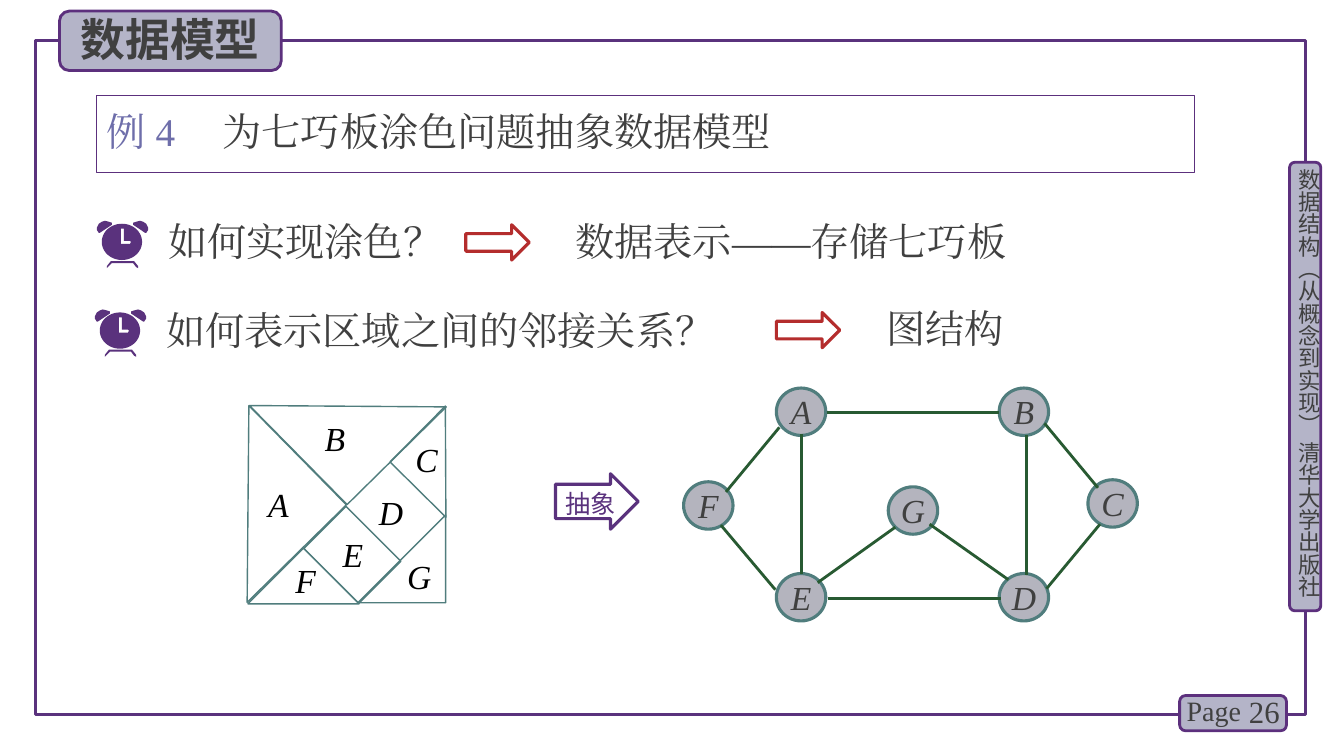
"""Build the slide on colouring a tangram with a graph model."""
from dataclasses import dataclass, field
from math import cos, pi, sin
from typing import Any, Optional

from lxml.etree import SubElement as Sub
from pptx import Presentation
from pptx.dml.color import RGBColor
from pptx.enum.shapes import MSO_CONNECTOR as Link, MSO_SHAPE as Kind
from pptx.enum.text import MSO_ANCHOR as Anchor, PP_ALIGN as Align
from pptx.oxml.ns import qn
from pptx.util import Inches, Pt

Box = tuple[float, float, float, float]
Spot = tuple[float, float]

PURPLE = RGBColor(0x5A, 0x32, 0x7D)
PLUM = RGBColor(0x5C, 0x30, 0x7D)
LILAC = RGBColor(0xB4, 0xB4, 0xC8)
VIOLET = RGBColor(0x6E, 0x6E, 0xAA)
GREY = RGBColor(0x40, 0x40, 0x40)
BLACK = RGBColor(0, 0, 0)
RED = RGBColor(0xB4, 0x2D, 0x2D)
TEAL = RGBColor(0x50, 0x7D, 0x7D)
STONE = RGBColor(0xB4, 0xB4, 0xBE)
GREEN = RGBColor(0x28, 0x5A, 0x32)
ROMAN, SANS = "Times New Roman", "Noto Sans CJK SC"


@dataclass
class Style:
    size: float
    color: RGBColor = GREY
    name: str = ROMAN
    font: dict[str, Any] = field(default_factory=dict)
    para: dict[str, Any] = field(default_factory=dict)
    frame: dict[str, Any] = field(default_factory=dict)


@dataclass
class Form:
    kind: Kind
    box: Box
    edge: RGBColor
    width: float
    fill: Optional[RGBColor] = None
    turn: float = 0


@dataclass
class Note:
    text: str
    box: Box
    style: Style


BARE = dict.fromkeys(("margin_left", "margin_top", "margin_right", "margin_bottom"), 0)
MIDDLE = {"vertical_anchor": Anchor.MIDDLE}
TIGHT = {"line_spacing": 0.9}
ITALIC = {"italic": True}

ASK = Style(28)
REPLY = Style(28, para=TIGHT, frame=MIDDLE)
PIECE = Style(24, BLACK, font=ITALIC)
NODE = Style(24, font=ITALIC, para={"alignment": Align.CENTER, "line_spacing": Pt(26)},
             frame=BARE | {"vertical_anchor": Anchor.TOP})
STEP = Style(18, PURPLE, SANS, para={"alignment": Align.CENTER, "line_spacing": Pt(24)},
             frame=BARE | MIDDLE | {"margin_left": Inches(0.04)})
SIDE = Style(16, name=SANS, frame=BARE)

FORMS = [
    Form(Kind.RECTANGLE, (0.35, 0.4, 12.6, 6.69), PURPLE, 2.25),
    Form(Kind.ROUNDED_RECTANGLE, (12.79, 1.61, 0.31, 4.45), PLUM, 2, LILAC),
    Form(Kind.ROUNDED_RECTANGLE, (11.7, 6.9, 1.06, 0.35), PLUM, 2, LILAC),
    Form(Kind.ROUNDED_RECTANGLE, (0.59, 0.11, 2.2, 0.59), PLUM, 2, LILAC),
    Form(Kind.RIGHT_ARROW, (4.62, 2.23, 0.63, 0.35), RED, 2.25),
    Form(Kind.RIGHT_ARROW, (7.7, 3.1, 0.63, 0.35), RED, 2.25),
    Form(Kind.RIGHT_TRIANGLE, (2.76, 3.34, 1.38, 1.38), TEAL, 1, turn=315.4),
    Form(Kind.RIGHT_TRIANGLE, (1.77, 4.31, 1.38, 1.38), TEAL, 1, turn=225.5),
    Form(Kind.RIGHT_TRIANGLE, (2.62, 5.6, 0.78, 0.78), TEAL, 1, turn=135),
    Form(Kind.RECTANGLE, (3.2, 5.12, 0.59, 0.77), TEAL, 1, turn=315),
    Form(Kind.RIGHT_TRIANGLE, (4.03, 4.19, 0.78, 0.78), TEAL, 1, turn=44.7),
    Form(Kind.RIGHT_TRIANGLE, (3.55, 5.11, 0.87, 0.87), TEAL, 1, turn=270),
]
NOTES = [
    Note("26", (12.2, 6.86, 0.59, 0.4),
         Style(22, para={"alignment": Align.RIGHT}, frame=MIDDLE)),
    Note("Page", (11.67, 6.83, 0.78, 0.44), Style(20)),
    Note("数据模型", (0.7, 0.07, 2.02, 0.64), Style(32, name=SANS, font={"bold": True})),
    Note("如何实现涂色？", (1.57, 2.11, 3.01, 0.57), ASK),
    Note("如何表示区域之间的邻接关系？", (1.55, 2.99, 6.16, 0.57), ASK),
    Note("数据表示——存储七巧板", (5.61, 2.04, 4.55, 0.76), REPLY),
    Note("图结构", (8.69, 2.9, 1.77, 0.76), REPLY),
]
PIECES = {"A": (2.56, 4.75), "B": (3.12, 4.1), "C": (4.02, 4.31), "D": (3.66, 4.83),
          "E": (3.3, 5.25), "F": (2.83, 5.51), "G": (3.94, 5.47)}
NODES = {"A": (7.7, 3.85), "B": (9.91, 3.85), "C": (10.79, 4.76), "D": (9.91, 5.69),
         "E": (7.7, 5.69), "F": (6.78, 4.78), "G": (8.81, 4.83)}
EDGES = [
    (8.2, 4.09, 9.91, 4.09), (8.88, 5.23, 8.11, 5.78), (7.95, 4.31, 7.95, 5.69),
    (10.18, 4.32, 10.18, 5.7), (8.21, 5.94, 9.93, 5.94), (9.22, 5.2, 10, 5.75),
    (7.73, 4.24, 7.2, 4.88), (7.69, 5.85, 7.15, 5.21), (10.91, 5.2, 10.38, 5.84),
    (10.89, 4.84, 10.36, 4.2),
]
CLOCKS = [(0.96, 2.19), (0.94, 3.07)]
EAR = [(0.08, 0), (0.05, 0.01), (0.02, 0.03), (0, 0.07), (0, 0.09), (0.02, 0.12),
       (0.03, 0.12), (0.15, 0.04), (0.15, 0.02), (0.12, 0.01)]
TWIN = [(0.51 - x, y) for x, y in EAR]
LEGS = [(0.41, 0.45), (0.37, 0.4), (0.14, 0.4), (0.1, 0.45), (0.1, 0.47), (0.11, 0.46),
        (0.15, 0.42), (0.36, 0.42), (0.39, 0.46), (0.41, 0.47)]
FACE = [(0.25 + 0.2 * cos(i * pi / 24), 0.21 + 0.18 * sin(i * pi / 24)) for i in range(48)]
HANDS = [(0.24, 0.08), (0.27, 0.08), (0.27, 0.2), (0.33, 0.2), (0.34, 0.21),
         (0.33, 0.23), (0.24, 0.23)]


def apply(target: Any, values: dict[str, Any]) -> None:
    """Set each named value on the target."""
    for key, value in values.items():
        setattr(target, key, value)


def write(shape: Any, text: str, style: Style) -> Any:
    """Add a styled run to the shape's first paragraph."""
    frame = shape.text_frame
    apply(frame, {"word_wrap": True} | style.frame)
    para = frame.paragraphs[0]
    apply(para, {"alignment": Align.LEFT} | style.para)
    run = para.add_run()
    run.text = text
    apply(run.font, {"size": Pt(style.size), "name": style.name} | style.font)
    run.font.color.rgb = style.color
    Sub(run.font._element, qn("a:ea"), typeface=style.name)
    return para


def draw(shapes: Any, form: Form) -> Any:
    """Draw a preset shape."""
    shape = shapes.add_shape(form.kind, *map(Inches, form.box))
    shape.shadow.inherit = False
    shape.rotation = form.turn
    shape.line.color.rgb = form.edge
    shape.line.width = Pt(form.width)
    if form.fill is None:
        shape.fill.background()
    else:
        shape.fill.solid()
        shape.fill.fore_color.rgb = form.fill
    return shape


def label(shapes: Any, note: Note) -> Any:
    """Place a text box."""
    box = shapes.add_textbox(*map(Inches, note.box))
    write(box, note.text, note.style)
    return box


def carve(shapes: Any, at: Spot, *rings: list[Spot]) -> None:
    """Draw one filled outline made of closed rings."""
    paths = [[(Inches(at[0] + x), Inches(at[1] + y)) for x, y in ring] for ring in rings]
    pen = shapes.build_freeform(*paths[0][0])
    pen.add_line_segments(paths[0][1:])
    for ring in paths[1:]:
        pen.move_to(*ring[0])
        pen.add_line_segments(ring[1:])
    shape = pen.convert_to_shape()
    shape.shadow.inherit = False
    shape.fill.solid()
    shape.fill.fore_color.rgb = PURPLE
    shape.line.fill.background()


def join(shapes: Any, ends: Box) -> None:
    """Draw a graph edge."""
    line = shapes.add_connector(Link.STRAIGHT, *map(Inches, ends))
    line.line.color.rgb = GREEN
    line.line.width = Pt(2)
    Sub(line.element.spPr, qn("a:effectLst"))


def main() -> None:
    """Build and save the slide."""
    deck = Presentation()
    deck.slide_width, deck.slide_height = Inches(13.33), Inches(7.5)
    shapes = deck.slides.add_slide(deck.slide_layouts[6]).shapes
    for form in FORMS:
        draw(shapes, form)
    for note in NOTES:
        label(shapes, note)
    side = label(shapes, Note("数据结构（从概念到实现） 清华大学出版社", (12.85, 1.67, 0.27, 4.49), SIDE))
    side.element.txBody.bodyPr.set("vert", "eaVert")

    task = draw(shapes, Form(Kind.RECTANGLE, (0.96, 0.95, 10.89, 0.76), PLUM, 0.75))
    para = write(task, "例 4\t", Style(28, VIOLET, para=TIGHT, frame=MIDDLE))
    write(task, "为七巧板涂色问题抽象数据模型", REPLY)
    tabs = Sub(para._p.get_or_add_pPr(), qn("a:tabLst"))
    Sub(tabs, qn("a:tab"), pos=str(Inches(1.15)), algn="l")

    for spot in CLOCKS:
        for rings in ([LEGS], [EAR], [TWIN], [FACE, HANDS]):
            carve(shapes, spot, *rings)
    for name, spot in PIECES.items():
        label(shapes, Note(name, (*spot, 0.48, 0.5), PIECE))
    step = draw(shapes, Form(Kind.RIGHT_ARROW, (5.51, 4.7, 0.82, 0.55), PURPLE, 2.25))
    step.adjustments[0] = 0.62
    write(step, "抽象", STEP)
    for name, spot in NODES.items():
        write(draw(shapes, Form(Kind.OVAL, (*spot, 0.49, 0.47), TEAL, 2.25, STONE)), name, NODE)
    for ends in EDGES:
        join(shapes, ends)
    deck.save("out.pptx")


if __name__ == "__main__":
    main()
